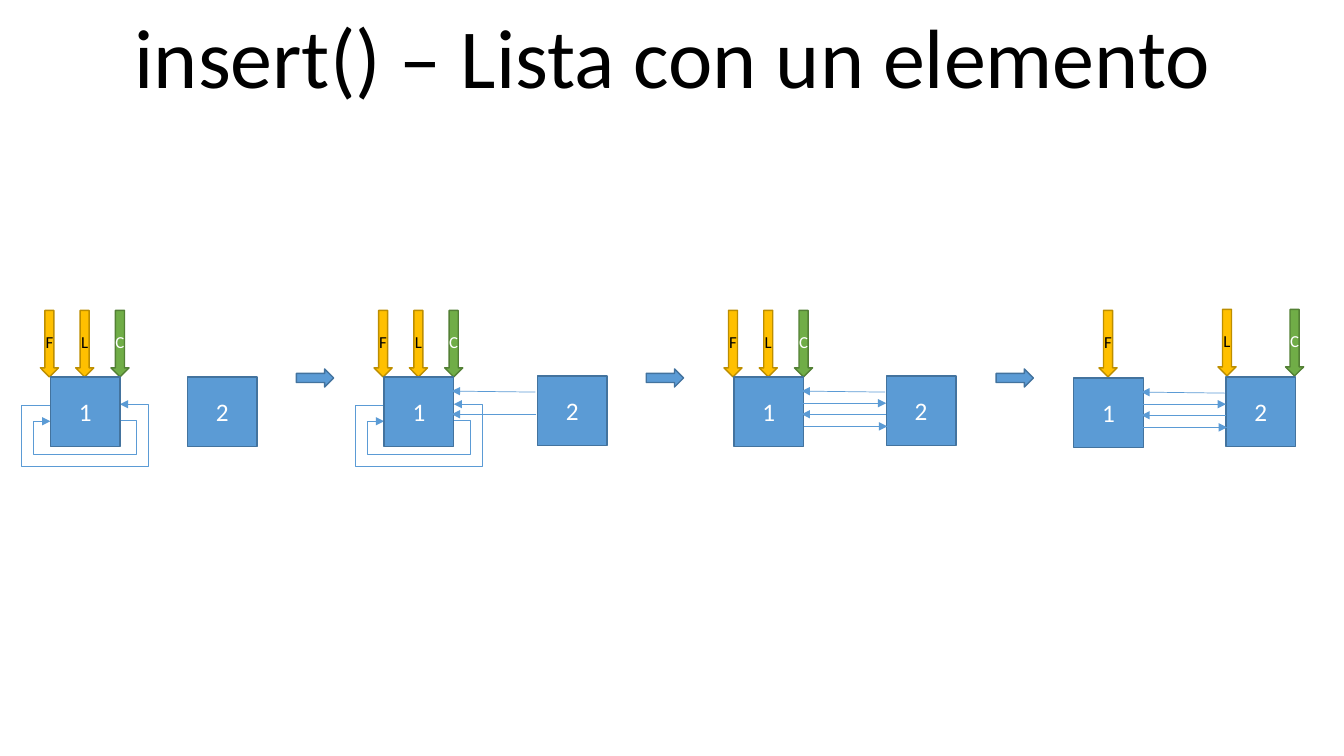
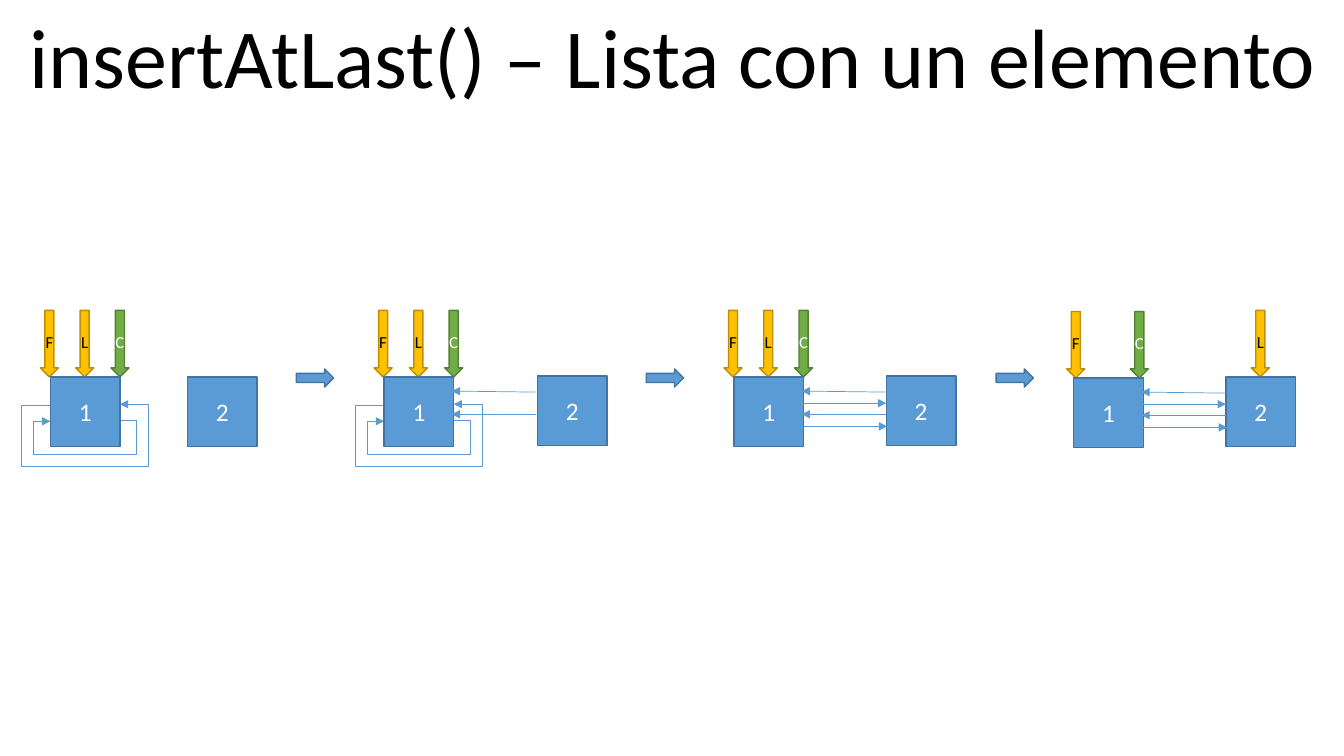
import pptx
import pptx.util
import pptx.dml.color
import pptx.enum.shapes
import pptx.enum.text
import lxml.etree

Inches, Pt = pptx.util.Inches, pptx.util.Pt
KIND = pptx.enum.shapes.MSO_SHAPE
ALIGN = pptx.enum.text.PP_ALIGN
MIDDLE = pptx.enum.text.MSO_ANCHOR.MIDDLE

HUES = {
    "blue": "5B9BD5", "navy": "43739E",
    "gold": "FFC000", "ochre": "BD8E00",
    "green": "70AD47", "forest": "538035",
    "black": "000000", "white": "FFFFFF",
}
TONES = {
    "F": ("gold", "ochre", "black"),
    "L": ("gold", "ochre", "black"),
    "C": ("green", "forest", "white"),
}
PLAIN = ("blue", "navy", "white")
TIGHT = {"margin_left": 0, "margin_right": 0, "margin_top": 0,
         "margin_bottom": 0, "word_wrap": False, "vertical_anchor": MIDDLE}

NODE = 0.69
START = [("F", -0.1, -0.66), ("L", 0.25, -0.66), ("C", 0.6, -0.66)]
INNER = [(0.69, 0.43), (0.85, 0.43), (0.85, 0.77),
         (-0.17, 0.77), (-0.17, 0.44), (0, 0.44)]
OUTER = [(0, 0.28), (-0.29, 0.28), (-0.29, 0.89),
         (0.97, 0.89), (0.97, 0.27), (0.69, 0.27)]
LOOPS = [INNER, OUTER]
BACK = [(1.5, 0.15, 0.67, 0.14), (1.51, 0.37, 0.67, 0.37)]
FORTH = [(0.68, 0.26, 1.51, 0.26), (0.69, 0.49, 1.52, 0.49)]

STEPS = [
    {"at": (0.5, 3.74), "next": (1.36, 0), "loops": LOOPS, "links": []},
    {"at": (3.81, 3.74), "next": (1.52, -0.01), "loops": LOOPS, "links": BACK},
    {"at": (7.28, 3.74), "next": (1.51, -0.01), "loops": [], "links": BACK + FORTH},
    {"at": (10.65, 3.75), "next": (1.51, -0.01), "loops": [], "links": BACK + FORTH},
]
SLIDES = [
    ("insert() – Lista con un elemento",
     [("F", 0.25, -0.67), ("L", 1.43, -0.68), ("C", 2.1, -0.68)]),
    ("insertAtLast() – Lista con un elemento",
     [("F", -0.07, -0.66), ("L", 1.76, -0.67), ("C", 0.56, -0.66)]),
]


def hue(name):
    return pptx.dml.color.RGBColor.from_string(HUES[name])


def apply(item, form):
    for key, val in form.items():
        setattr(item, key, val)


def write(frame, text, size, tone):
    para = frame.paragraphs[0]
    para.alignment = ALIGN.CENTER
    run = para.add_run()
    run.text = text
    apply(run.font, {"name": "Calibri", "size": Pt(size)})
    run.font.color.rgb = hue(tone)


def block(shapes, kind, box, tones, text="", size=18):
    item = shapes.add_shape(kind, *map(Inches, box))
    item.shadow.inherit = False
    item.fill.solid()
    item.fill.fore_color.rgb = hue(tones[0])
    item.line.color.rgb = hue(tones[1])
    item.line.width = Pt(1)
    if text:
        apply(item.text_frame, TIGHT)
        write(item.text_frame, text, size, tones[2])


def arrow(item):
    item.line.color.rgb = hue("blue")
    item.line.width = Pt(0.5)
    line = item.line._get_or_add_ln()
    lxml.etree.SubElement(line, pptx.oxml.ns.qn("a:tailEnd"), type="triangle")


def link(shapes, ends):
    item = shapes.add_connector(pptx.enum.shapes.MSO_CONNECTOR.STRAIGHT,
                                *map(Inches, ends))
    arrow(item)
    lxml.etree.SubElement(item._element.spPr, pptx.oxml.ns.qn("a:effectLst"))


def loop(shapes, spots):
    spots = [(Inches(x), Inches(y)) for x, y in spots]
    path = shapes.build_freeform(*spots[0])
    path.add_line_segments(spots[1:], close=False)
    item = path.convert_to_shape()
    item.shadow.inherit = False
    item.fill.background()
    arrow(item)


def stage(slide, step, marks):
    shapes = slide.shapes.add_group_shape().shapes
    left, top = step["at"]
    for text, x, y in marks:
        block(shapes, KIND.DOWN_ARROW, (left + x, top + y, 0.18, 0.66),
              TONES[text], text, 12)
    for spots in step["loops"]:
        loop(shapes, [(left + x, top + y) for x, y in spots])
    for text, (x, y) in (("1", (0, 0)), ("2", step["next"])):
        block(shapes, KIND.RECTANGLE, (left + x, top + y, NODE, NODE), PLAIN, text)
    for x, y, far, low in step["links"]:
        link(shapes, (left + x, top + y, left + far, top + low))


def main():
    deck = pptx.Presentation()
    apply(deck, {"slide_width": Inches(13.33), "slide_height": Inches(7.5)})
    for title, last in SLIDES:
        slide = deck.slides.add_slide(deck.slide_layouts[6])
        head = slide.shapes.add_textbox(*map(Inches, (0.01, 0, 13.32, 1.11)))
        head.text_frame.word_wrap = True
        write(head.text_frame, title, 60, "black")
        for step in STEPS:
            stage(slide, step, last if step is STEPS[-1] else START)
        for turn in range(len(STEPS) - 1):
            block(slide.shapes, KIND.RIGHT_ARROW,
                  (2.94 + 3.47 * turn, 3.66, 0.37, 0.18), PLAIN)
    deck.save("out.pptx")


if __name__ == "__main__":
    main()
